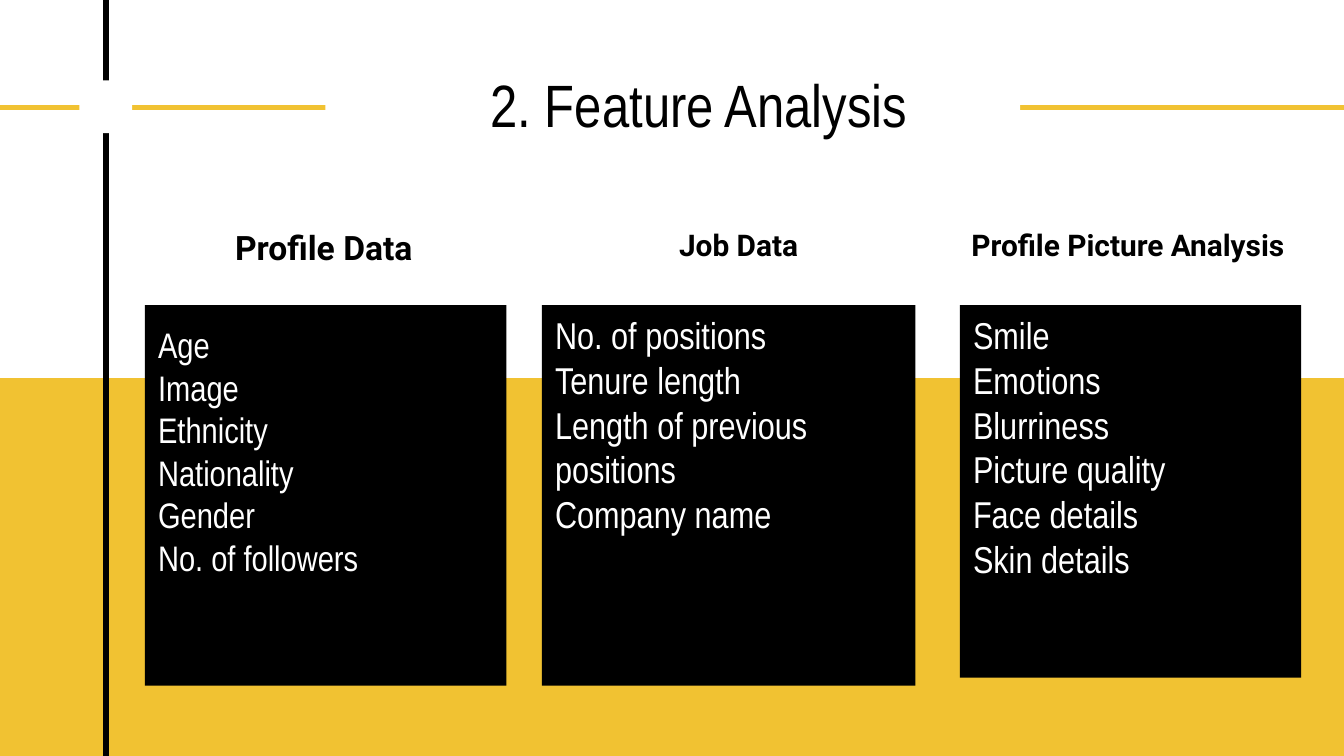
import pptx
import pptx.util
import pptx.dml.color
import pptx.enum.shapes
import pptx.enum.text
import pptx.oxml.ns
import lxml.etree

Cm = pptx.util.Cm
ALIGN = pptx.enum.text.PP_ALIGN
COLORS = {"ink": "000000", "paper": "FFFFFF", "accent": "F1C232"}
LIST_FONT = "Arial Narrow"
HEADING_FONT = "Roboto"
COLUMNS = [
    {
        "heading": "Profile Data", "heading_size": 18, "align": ALIGN.CENTER,
        "heading_box": (3.3, 4.04, 5.28, 1.32),
        "items": ["Age", "Image", "Ethnicity", "Nationality", "Gender", "No. of followers"],
        "item_size": 19, "inset_top": 0.34, "list_box": (2.74, 5.77, 6.83, 7.19),
    },
    {
        "heading": "Job Data", "heading_size": 16, "align": ALIGN.CENTER,
        "heading_box": (11.28, 4.04, 5, 1.32),
        "items": ["No. of positions", "Tenure length", "Length of previous positions", "Company name"],
        "item_size": 20, "inset_top": 0.13, "list_box": (10.24, 5.77, 7.06, 7.19),
    },
    {
        "heading": "Profile Picture Analysis", "heading_size": 16, "align": ALIGN.LEFT,
        "heading_box": (17.75, 4.04, 6.9, 1.32),
        "items": ["Smile", "Emotions", "Blurriness", "Picture quality", "Face details", "Skin details"],
        "item_size": 20, "inset_top": 0.13, "list_box": (18.14, 5.77, 6.45, 7.04),
    },
]


def rgb(name):
    """Return the named colour."""
    return pptx.dml.color.RGBColor.from_string(COLORS[name])


def place(shape, box):
    """Move and size a shape to a box given in centimetres."""
    shape.left, shape.top, shape.width, shape.height = (Cm(length) for length in box)


def add_block(slide, box, color):
    """Add a plain filled rectangle."""
    block = slide.shapes.add_shape(
        pptx.enum.shapes.MSO_SHAPE.RECTANGLE, *(Cm(length) for length in box))
    block.shadow.inherit = False
    block.fill.solid()
    block.fill.fore_color.rgb = rgb(color)
    block.line.fill.background()
    return block


def add_rule(slide, ends, color):
    """Add a straight 3 pt line between two points."""
    rule = slide.shapes.add_connector(
        pptx.enum.shapes.MSO_CONNECTOR.STRAIGHT, *(Cm(length) for length in ends))
    rule.line.color.rgb = rgb(color)
    rule.line.width = pptx.util.Pt(3)
    properties = rule.element.find(pptx.oxml.ns.qn("p:spPr"))
    lxml.etree.SubElement(properties, pptx.oxml.ns.qn("a:effectLst"))
    return rule


def add_backdrop(slide, width, height):
    """Draw the band, the crossing rules and their gaps behind the title."""
    parts = [
        add_block(slide, (0, height / 2, width, height / 2), "accent"),
        add_rule(slide, (2.01, 0, 2.01, height), "ink"),
        add_rule(slide, (width, 2.03, 0, 2.03), "accent"),
        add_block(slide, (1.5, 1.52, 1, 1), "paper"),
        add_block(slide, (6.15, 0.23, 13.13, 2.87), "paper"),
    ]
    for part in parts:
        slide.shapes.title.element.addprevious(part.element)


def format_text(frame, font_name, size, color, align, bold=False):
    """Format every paragraph and run of a text frame."""
    frame.word_wrap = True
    frame.auto_size = pptx.enum.text.MSO_AUTO_SIZE.NONE
    for paragraph in frame.paragraphs:
        paragraph.alignment = align
        paragraph.space_before = pptx.util.Pt(0)
        for run in paragraph.runs:
            run.font.name = font_name
            run.font.size = pptx.util.Pt(size)
            run.font.bold = bold
            run.font.color.rgb = rgb(color)


def fill_placeholder(placeholder, box, text, anchor, *style):
    """Place a placeholder and give it formatted text."""
    place(placeholder, box)
    frame = placeholder.text_frame
    frame.text = text
    frame.vertical_anchor = anchor
    frame.margin_left = frame.margin_right = Cm(0.25)
    frame.margin_top = frame.margin_bottom = Cm(0.25)
    format_text(frame, *style)


def add_heading(placeholder, column):
    """Set a column heading without a bullet, keeping its hanging indent."""
    fill_placeholder(
        placeholder, column["heading_box"], column["heading"], pptx.enum.text.MSO_ANCHOR.TOP,
        HEADING_FONT, column["heading_size"], "ink", column["align"], True)
    properties = placeholder.text_frame.paragraphs[0]._p.get_or_add_pPr()
    properties.set("marL", str(Cm(1.27)))
    properties.set("indent", str(Cm(-0.91)))
    lxml.etree.SubElement(properties, pptx.oxml.ns.qn("a:buNone"))


def add_list(slide, column):
    """Add the dark panel listing a column's features."""
    frame = add_block(slide, column["list_box"], "ink").text_frame
    frame.text = "\n".join(column["items"])
    frame.vertical_anchor = pptx.enum.text.MSO_ANCHOR.TOP
    frame.margin_top = Cm(column["inset_top"])
    format_text(frame, LIST_FONT, column["item_size"], "paper", ALIGN.LEFT)


def build_feature_slide(presentation, width, height):
    """Build the feature analysis slide."""
    slide = presentation.slides.add_slide(presentation.slide_layouts.get_by_name("Comparison"))
    add_backdrop(slide, width, height)
    fill_placeholder(
        slide.shapes.title, (9.02, 1.02, 9.9, 1.88), "2. Feature Analysis",
        pptx.enum.text.MSO_ANCHOR.MIDDLE, LIST_FONT, 32, "ink", ALIGN.LEFT)
    title, *headings, spare = list(slide.placeholders)
    for placeholder, column in zip(headings, COLUMNS):
        add_heading(placeholder, column)
        add_list(slide, column)
    spare.element.getparent().remove(spare.element)


def main():
    """Create and save the presentation."""
    width, height = 25.4, 14.29
    presentation = pptx.Presentation()
    presentation.slide_width = Cm(width)
    presentation.slide_height = Cm(height)
    build_feature_slide(presentation, width, height)
    presentation.save("out.pptx")


if __name__ == "__main__":
    main()
